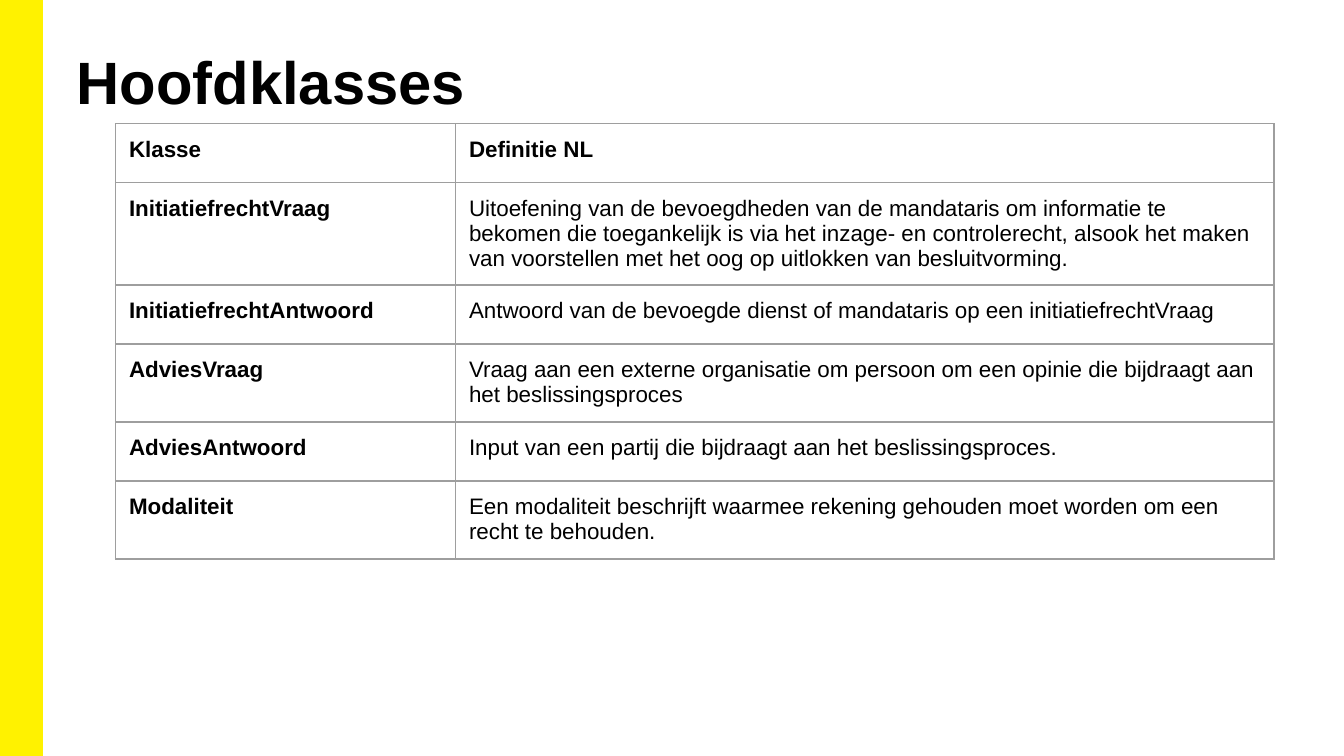
from lxml.etree import SubElement
from pptx import Presentation
from pptx.dml.color import RGBColor
from pptx.enum.shapes import MSO_SHAPE
from pptx.enum.text import MSO_ANCHOR, PP_ALIGN
from pptx.oxml.ns import qn
from pptx.util import Inches, Pt

YELLOW = RGBColor(0xFF, 0xF2, 0x00)
BLACK = RGBColor(0x00, 0x00, 0x00)
GREY = RGBColor(0x9E, 0x9E, 0x9E)

SLIDE_SIZE = {"slide_width": Inches(10), "slide_height": Inches(10) * 9 // 16}
TITLE_FONT = {"name": "Arial", "size": Pt(32), "bold": True}
CELL_FONT = {"name": "Arial", "size": Pt(12)}
TITLE_FRAME = {
    "margin_left": Inches(0.07), "margin_right": Inches(0.07),
    "margin_top": Inches(0.04), "margin_bottom": Inches(0.04),
    "vertical_anchor": MSO_ANCHOR.TOP, "word_wrap": True,
}
CELL_FORMAT = {
    "margin_left": Inches(0.1), "margin_right": Inches(0.1),
    "margin_top": Inches(0.1), "margin_bottom": Inches(0.1),
    "vertical_anchor": MSO_ANCHOR.TOP,
}

COLUMN_WIDTHS = (2.53, 6.09)
ROW_HEIGHTS = (0.44, 0.72, 0.44, 0.58, 0.44, 0.58)
ROWS = (
    ("Klasse", "Definitie NL"),
    ("InitiatiefrechtVraag",
     "Uitoefening van de bevoegdheden van de mandataris om informatie te bekomen "
     "die toegankelijk is via het inzage- en controlerecht, alsook het maken van "
     "voorstellen met het oog op uitlokken van besluitvorming."),
    ("InitiatiefrechtAntwoord",
     "Antwoord van de bevoegde dienst of mandataris op een initiatiefrechtVraag"),
    ("AdviesVraag",
     "Vraag aan een externe organisatie om persoon om een opinie die bijdraagt "
     "aan het beslissingsproces"),
    ("AdviesAntwoord",
     "Input van een partij die bijdraagt aan het beslissingsproces."),
    ("Modaliteit",
     "Een modaliteit beschrijft waarmee rekening gehouden moet worden om een "
     "recht te behouden."),
)


def apply(target, values):
    """Set each attribute of target from a dict of values."""
    for name, value in values.items():
        setattr(target, name, value)


def write(tf, text, font):
    """Put one left-aligned black run of text in a frame."""
    p = tf.paragraphs[0]
    p.alignment = PP_ALIGN.LEFT
    r = p.add_run()
    r.text = text
    apply(r.font, font)
    r.font.color.rgb = BLACK


def add_side_bar(s, height):
    """Draw the yellow bar along the left edge."""
    sp = s.shapes.add_shape(MSO_SHAPE.RECTANGLE, 0, 0, Inches(0.31), height)
    sp.shadow.inherit = False
    sp.fill.solid()
    sp.fill.fore_color.rgb = YELLOW
    sp.line.color.rgb = YELLOW
    sp.line.width = Pt(1)


def set_title(s, text):
    """Place and fill the title placeholder."""
    sp = s.shapes.title
    apply(sp, {"left": Inches(0.5), "top": Inches(0.29),
               "width": Inches(8.97), "height": Inches(0.92)})
    apply(sp.text_frame, TITLE_FRAME)
    write(sp.text_frame, text, TITLE_FONT)


def add_borders(cell):
    """Give a cell thin grey lines on all four sides."""
    tc_pr = cell._tc.get_or_add_tcPr()
    for side in ("lnL", "lnR", "lnT", "lnB"):
        ln = SubElement(tc_pr, qn(f"a:{side}"), w=str(Pt(0.75)))
        fill = SubElement(ln, qn("a:solidFill"))
        SubElement(fill, qn("a:srgbClr"), val=str(GREY))


def add_class_table(s):
    """Build the table of classes and their definitions."""
    table = s.shapes.add_table(
        len(ROWS), len(COLUMN_WIDTHS), Inches(0.86), Inches(0.92),
        Inches(sum(COLUMN_WIDTHS)), Inches(sum(ROW_HEIGHTS))).table
    apply(table, {"first_row": False, "horz_banding": False})
    for column, width in zip(table.columns, COLUMN_WIDTHS):
        column.width = Inches(width)
    for i, (row, height, texts) in enumerate(zip(table.rows, ROW_HEIGHTS, ROWS)):
        row.height = Inches(height)
        for j, (cell, text) in enumerate(zip(row.cells, texts)):
            apply(cell, CELL_FORMAT)
            add_borders(cell)
            cell.fill.background()
            write(cell.text_frame, text, {**CELL_FONT, "bold": i == 0 or j == 0})


def main():
    """Build the slide and save it."""
    prs = Presentation()
    apply(prs, SLIDE_SIZE)
    s = prs.slides.add_slide(prs.slide_layouts[5])
    add_side_bar(s, prs.slide_height)
    set_title(s, "Hoofdklasses")
    add_class_table(s)
    prs.save("out.pptx")


if __name__ == "__main__":
    main()
